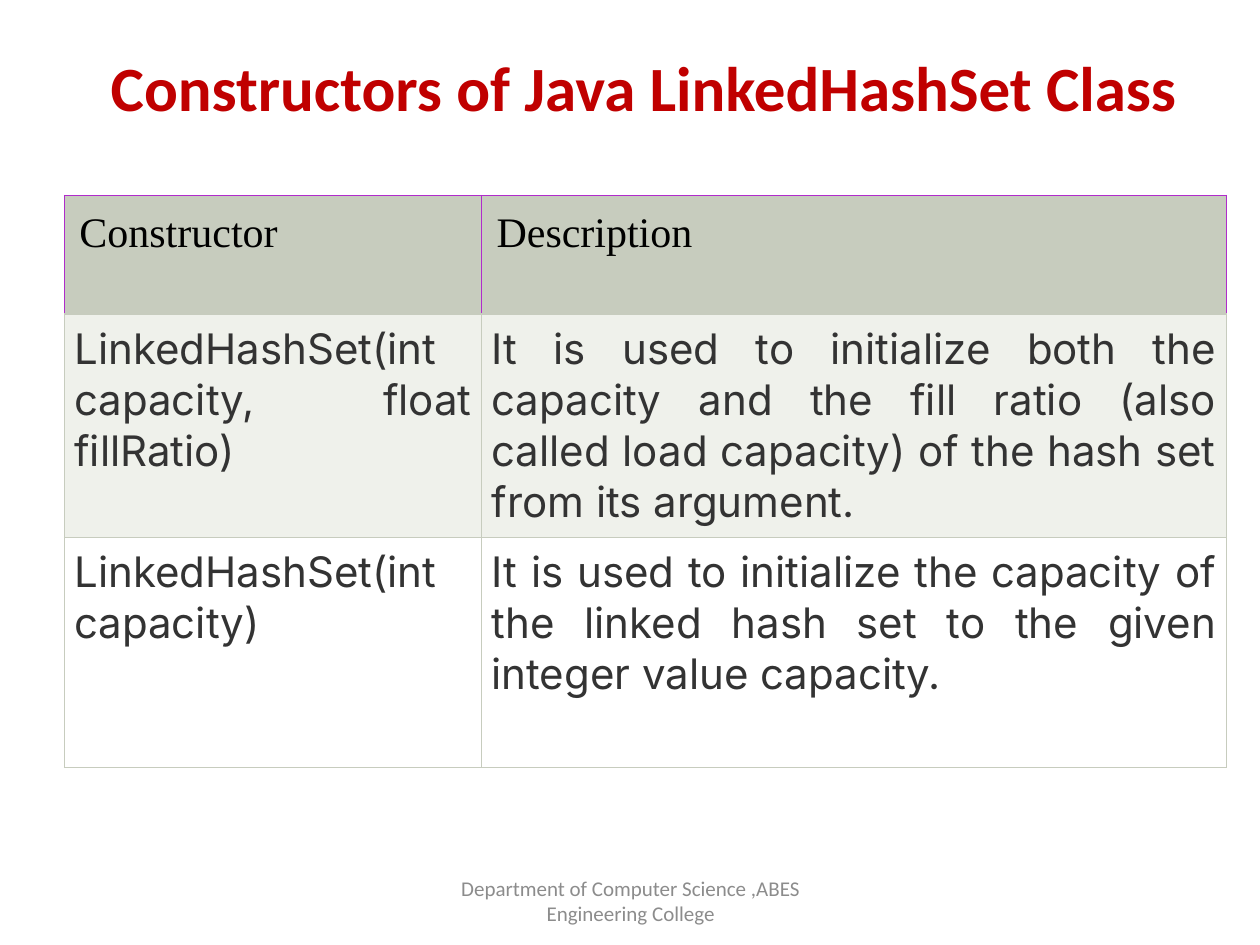
from lxml import etree
from pptx import Presentation
from pptx.dml.color import RGBColor
from pptx.enum.text import MSO_ANCHOR, PP_ALIGN
from pptx.oxml.ns import qn
from pptx.util import Cm, Pt

CENTER, LEFT, JUSTIFY = PP_ALIGN.CENTER, PP_ALIGN.LEFT, PP_ALIGN.JUSTIFY
MIDDLE = MSO_ANCHOR.MIDDLE
SAGE, PURPLE = "C7CCBE", "B02BCB"


def write(frame, text, font, size, color, align, bold=False):
    paragraph = frame.paragraphs[0]
    paragraph.alignment = align
    run = paragraph.add_run()
    run.text = text
    run.font.name = font
    run.font.size = Pt(size)
    run.font.bold = bold
    run.font.color.rgb = RGBColor.from_string(color)


def add_border(cell, side, color):
    line = etree.SubElement(cell._tc.get_or_add_tcPr(), qn(f"a:ln{side}"), w=str(Pt(0.75)))
    fill = etree.SubElement(line, qn("a:solidFill"))
    etree.SubElement(fill, qn("a:srgbClr"), val=color)


deck = Presentation()
deck.slide_width, deck.slide_height = Cm(25.4), Cm(19.05)
slide = deck.slides.add_slide(deck.slide_layouts[5])

title = slide.shapes.title
title.left, title.top, title.width, title.height = Cm(1.27), Cm(0.76), Cm(23.42), Cm(1.96)
title.text_frame.vertical_anchor = MIDDLE
write(title.text_frame, "Constructors of Java LinkedHashSet Class", "Calibri", 36, "C00000", CENTER, True)

rows = [
    ("Constructor", "Description"),
    ("LinkedHashSet(int capacity, float fillRatio)",
     "It is used to initialize both the capacity and the fill ratio "
     "(also called load capacity) of the hash set from its argument."),
    ("LinkedHashSet(int capacity)",
     "It is used to initialize the capacity of the linked hash set "
     "to the given integer value capacity."),
]
row_heights = [2.39, 3.33, 4.65]
column_widths = [8.41, 15.01]
row_fills = [SAGE, "EFF1EB", "FFFFFF"]

constructors = slide.shapes.add_table(
    len(rows), len(column_widths), Cm(1.3), Cm(3.94),
    Cm(sum(column_widths)), Cm(sum(row_heights))).table
for column, width in zip(constructors.columns, column_widths):
    column.width = Cm(width)

for r, texts in enumerate(rows):
    constructors.rows[r].height = Cm(row_heights[r])
    is_header = r == 0
    inset = Cm(0.3 if is_header else 0.2)
    for c, text in enumerate(texts):
        cell = constructors.cell(r, c)
        cell.margin_left = cell.margin_right = inset
        cell.margin_top = cell.margin_bottom = inset
        for side in "LRTB":
            add_border(cell, side, PURPLE if is_header and side != "B" else SAGE)
        cell.fill.solid()
        cell.fill.fore_color.rgb = RGBColor.from_string(row_fills[r])
        if is_header:
            write(cell.text_frame, text, "Times New Roman", 24, "000000", LEFT)
        else:
            write(cell.text_frame, text, "Inter", 24, "333333", JUSTIFY)

footer = slide.shapes.add_textbox(Cm(8.69), Cm(17.65), Cm(8.05), Cm(1.02)).text_frame
footer.word_wrap = True
footer.vertical_anchor = MIDDLE
write(footer, "Department of Computer Science ,ABES Engineering College", "Calibri", 12, "8C8C8C", CENTER)

deck.save("out.pptx")
